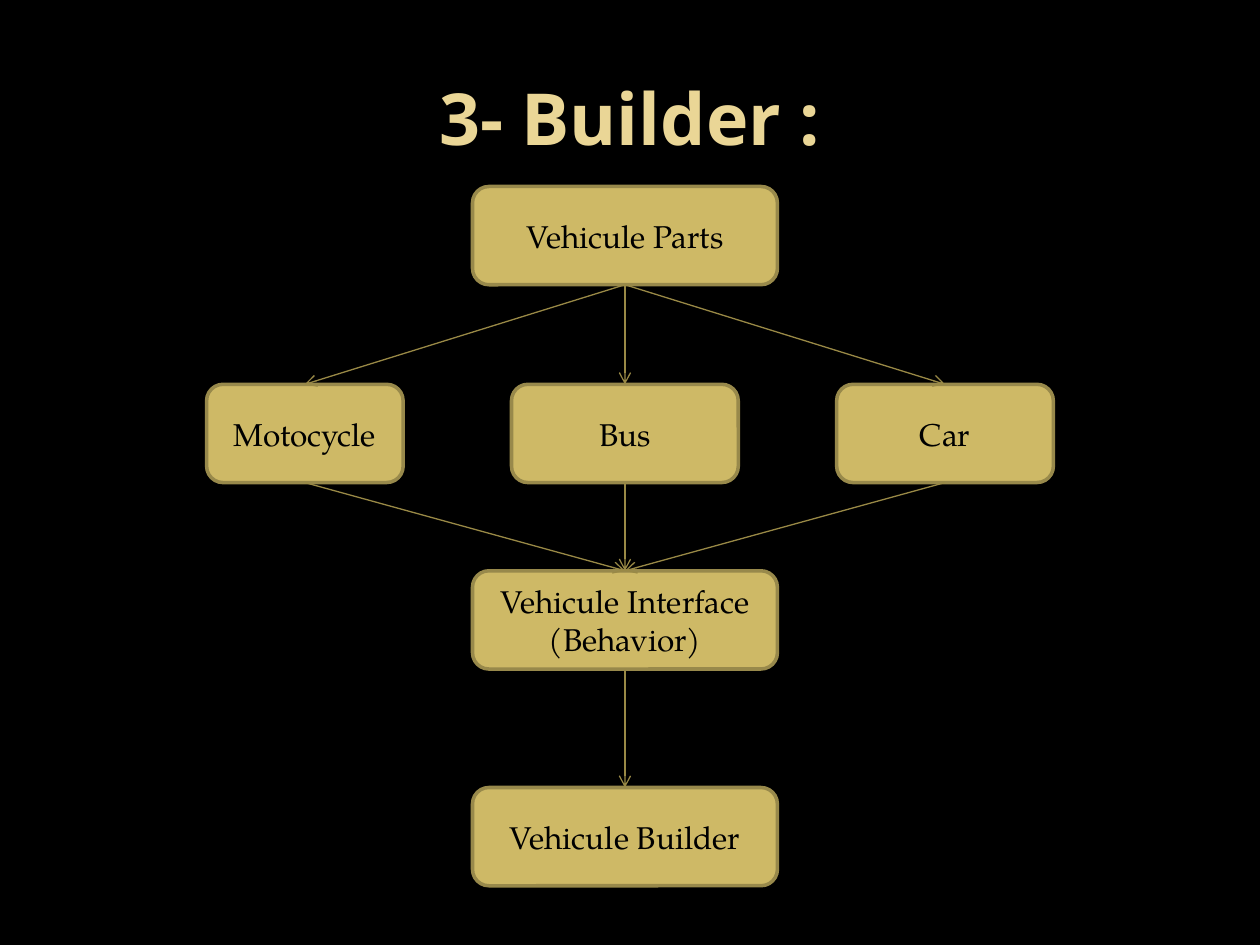
import dataclasses
import typing

import lxml.etree
import pptx
import pptx.dml.color
import pptx.enum.shapes
import pptx.enum.text
import pptx.oxml
import pptx.oxml.ns
import pptx.util


@dataclasses.dataclass(frozen=True)
class Theme:
    background: str = "000000"
    title_color: str = "EAD696"
    box_fill: str = "CEB966"
    box_border: str = "98894B"
    box_text: str = "000000"
    arrow: str = "998946"
    title_font: str = "Open Sans"
    body_font: str = "TeX Gyre Pagella"
    title_size: float = 41
    body_size: float = 18
    border_width: float = 2
    arrow_width: float = 0.75


class Box(typing.NamedTuple):
    text: str
    column: int
    row: int
    width: float


THEME = Theme()
CENTER_X = 4.96
COLUMN_STEP = 2.54
ROW_TOPS = (1.48, 3.05, 4.53, 6.25)
BOX_HEIGHT = 0.78
WIDE = 2.42
TOP_SITE, BOTTOM_SITE = 0, 2

BOXES = {
    "parts": Box("Vehicule Parts", 0, 0, WIDE),
    "motorcycle": Box("Motocycle", -1, 1, 1.56),
    "bus": Box("Bus", 0, 1, 1.8),
    "car": Box("Car", 1, 1, 1.72),
    "interface": Box("Vehicule Interface\n(Behavior)", 0, 2, WIDE),
    "builder": Box("Vehicule Builder", 0, 3, WIDE),
}
VEHICLES = ("motorcycle", "bus", "car")
ARROWS = (
    [("parts", vehicle) for vehicle in VEHICLES]
    + [(vehicle, "interface") for vehicle in VEHICLES]
    + [("interface", "builder")]
)


def rgb(value: str) -> pptx.dml.color.RGBColor:
    return pptx.dml.color.RGBColor.from_string(value)


def format_text(text_frame, font: str, size: float, color: str, bold: bool = False) -> None:
    text_frame.word_wrap = True
    text_frame.auto_size = pptx.enum.text.MSO_AUTO_SIZE.NONE
    text_frame.vertical_anchor = pptx.enum.text.MSO_ANCHOR.MIDDLE
    for paragraph in text_frame.paragraphs:
        paragraph.alignment = pptx.enum.text.PP_ALIGN.CENTER
        for run in paragraph.runs:
            run.font.name = font
            run.font.size = pptx.util.Pt(size)
            run.font.bold = bold
            run.font.color.rgb = rgb(color)


def add_title(slide, text: str) -> None:
    title = slide.shapes.title
    title.left, title.top, title.width, title.height = (
        pptx.util.Inches(length) for length in (0.5, 0.3, 9, 1.25)
    )
    title.text_frame.text = text
    format_text(title.text_frame, THEME.title_font, THEME.title_size, THEME.title_color, bold=True)


def add_box(slide, box: Box):
    left = CENTER_X + box.column * COLUMN_STEP - box.width / 2
    shape = slide.shapes.add_shape(
        pptx.enum.shapes.MSO_SHAPE.ROUNDED_RECTANGLE,
        *(pptx.util.Inches(length) for length in (left, ROW_TOPS[box.row], box.width, BOX_HEIGHT)),
    )
    shape.shadow.inherit = False
    shape.fill.solid()
    shape.fill.fore_color.rgb = rgb(THEME.box_fill)
    shape.line.color.rgb = rgb(THEME.box_border)
    shape.line.width = pptx.util.Pt(THEME.border_width)
    shape.text_frame.text = box.text
    format_text(shape.text_frame, THEME.body_font, THEME.body_size, THEME.box_text)
    return shape


def add_arrow(slide, source, target) -> None:
    connector = slide.shapes.add_connector(pptx.enum.shapes.MSO_CONNECTOR.STRAIGHT, 0, 0, 0, 0)
    connector.begin_connect(source, BOTTOM_SITE)
    connector.end_connect(target, TOP_SITE)
    connector.line.color.rgb = rgb(THEME.arrow)
    connector.line.width = pptx.util.Pt(THEME.arrow_width)
    properties = connector.element.spPr
    line = properties.find(pptx.oxml.ns.qn("a:ln"))
    lxml.etree.SubElement(line, pptx.oxml.ns.qn("a:tailEnd"), type="arrow")
    lxml.etree.SubElement(properties, pptx.oxml.ns.qn("a:effectLst"))


def main() -> None:
    presentation = pptx.Presentation()
    presentation.slide_width = pptx.util.Inches(10)
    presentation.slide_height = pptx.util.Inches(7.5)
    slide = presentation.slides.add_slide(presentation.slide_layouts.get_by_name("Title Only"))
    slide.background.fill.solid()
    slide.background.fill.fore_color.rgb = rgb(THEME.background)
    add_title(slide, "3- Builder :")
    shapes = {name: add_box(slide, box) for name, box in BOXES.items()}
    for source, target in ARROWS:
        add_arrow(slide, shapes[source], shapes[target])
    presentation.save("out.pptx")


main()
